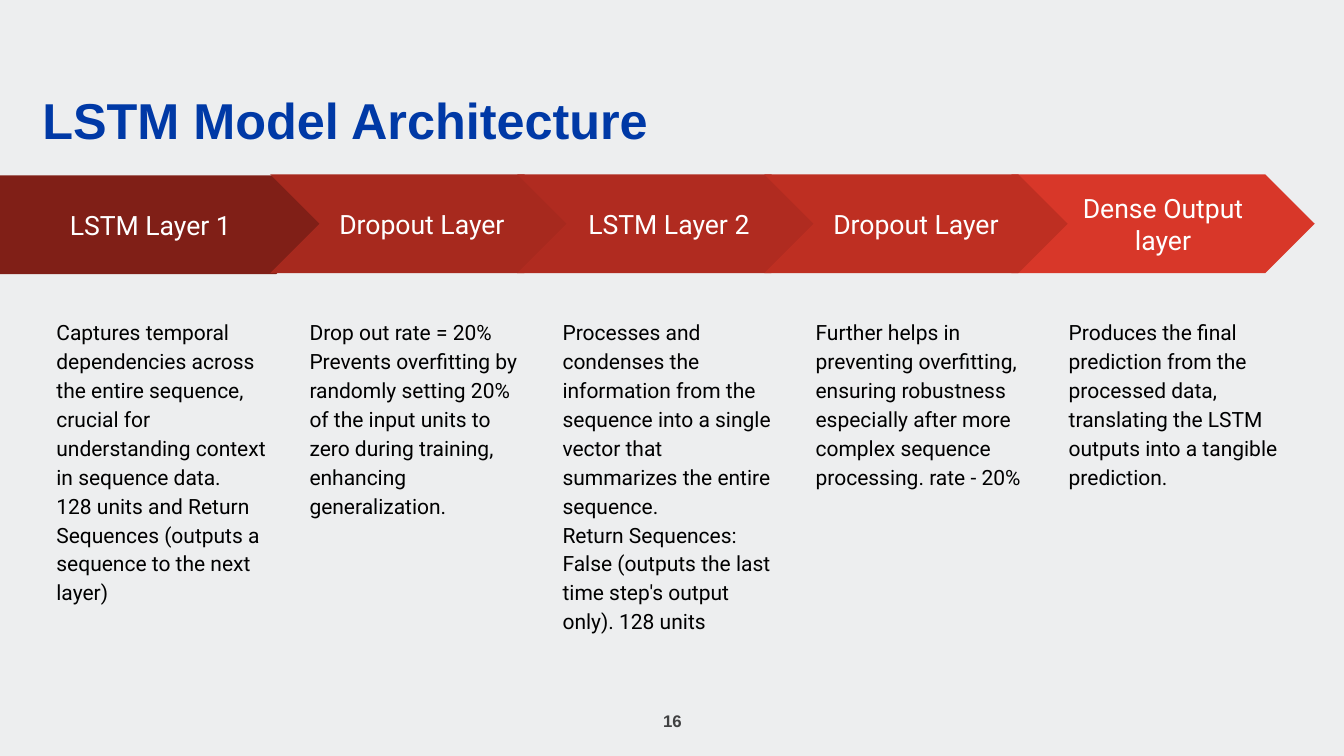
from pptx import Presentation
from pptx.dml.color import RGBColor
from pptx.enum.shapes import MSO_SHAPE
from pptx.enum.text import MSO_ANCHOR, PP_ALIGN
from pptx.util import Inches, Pt


def color(hex_value):
    return RGBColor.from_string(hex_value)


class ArchitectureSlide:
    heading_font = "Arial"
    body_font = "Roboto"
    padding = 0.13

    def __init__(self, presentation, background):
        self.slide = presentation.slides.add_slide(presentation.slide_layouts[5])
        fill = self.slide.background.fill
        fill.solid()
        fill.fore_color.rgb = color(background)

    def set_text(self, shape, lines, font, size, hex_value, bold=False, align=PP_ALIGN.LEFT,
                 anchor=MSO_ANCHOR.TOP, spacing=1.0, margins=(padding, padding)):
        frame = shape.text_frame
        frame.text = "\n".join(lines)
        frame.word_wrap = True
        frame.vertical_anchor = anchor
        frame.margin_left = frame.margin_right = Inches(margins[0])
        frame.margin_top = frame.margin_bottom = Inches(margins[1])
        for paragraph in frame.paragraphs:
            paragraph.alignment = align
            paragraph.line_spacing = spacing
            paragraph.space_before = Pt(0)
            for run in paragraph.runs:
                run.font.name = font
                run.font.size = Pt(size)
                run.font.bold = bold
                run.font.color.rgb = color(hex_value)

    def title(self, text, left, top, width, height):
        shape = self.slide.shapes.title
        shape.left, shape.top = Inches(left), Inches(top)
        shape.width, shape.height = Inches(width), Inches(height)
        self.set_text(shape, [text], self.heading_font, 36, "0039A6", bold=True,
                      anchor=MSO_ANCHOR.BOTTOM, spacing=0.9, margins=(0, 0))

    def text_box(self, left, top, width, height):
        return self.slide.shapes.add_textbox(
            Inches(left), Inches(top), Inches(width), Inches(height))

    def page_number(self, number, left, top, width, height):
        self.set_text(self.text_box(left, top, width, height), [number], self.heading_font, 12,
                      "404041", bold=True, align=PP_ALIGN.CENTER,
                      anchor=MSO_ANCHOR.MIDDLE, margins=(0.1, 0.05))

    def arrow(self, kind, label, fill, left, top, width, height):
        shape = self.slide.shapes.add_shape(
            kind, Inches(left), Inches(top), Inches(width), Inches(height))
        shape.adjustments[0] = 0.5
        shape.shadow.inherit = False
        shape.fill.solid()
        shape.fill.fore_color.rgb = color(fill)
        shape.line.fill.background()
        self.set_text(shape, [label], self.body_font, 19, "FFFFFF",
                      align=PP_ALIGN.CENTER, anchor=MSO_ANCHOR.MIDDLE)

    def description(self, lines, left, top, width, height):
        self.set_text(self.text_box(left, top, width, height), lines, self.body_font, 15,
                      "000000", spacing=1.15)


# Layers: label, fill, description paragraphs
LAYERS = [
    ("LSTM Layer 1", "801F17", [
        "Captures temporal dependencies across the entire sequence, crucial for "
        "understanding context in sequence data.",
        "128 units and Return Sequences (outputs a sequence to the next layer)"]),
    ("Dropout Layer", "A7291E", [
        "Drop out rate = 20%",
        "Prevents overfitting by randomly setting 20% of the input units to zero "
        "during training, enhancing generalization."]),
    ("LSTM Layer 2", "B02B20", [
        "Processes and condenses the information from the sequence into a single "
        "vector that summarizes the entire sequence.",
        "Return Sequences: False (outputs the last time step's output only). 128 units"]),
    ("Dropout Layer", "BE2F22", [
        "Further helps in preventing overfitting, ensuring robustness especially "
        "after more complex sequence processing. rate - 20%"]),
    ("Dense Output layer", "D83729", [
        "Produces the final prediction from the processed data, translating the "
        "LSTM outputs into a tangible prediction."]),
]
# The last dropout arrow overlaps the output arrow, so it is drawn last
DRAWING_ORDER = [0, 1, 2, 4, 3]
FIRST_CHEVRON, CHEVRON_STEP = 2.68, 2.45
FIRST_COLUMN, COLUMN_STEP = 0.43, 2.51


def main():
    presentation = Presentation()
    presentation.slide_width = Inches(13.33)
    presentation.slide_height = Inches(7.5)
    page = ArchitectureSlide(presentation, "EDEEEF")

    # Title and page number
    page.title("LSTM Model Architecture", 0.42, 0.94, 12.5, 0.55)
    page.page_number("16", 5.17, 6.95, 3, 0.4)

    # Arrow and description of each layer
    for index in DRAWING_ORDER:
        label, fill, lines = LAYERS[index]
        if index == 0:
            page.arrow(MSO_SHAPE.PENTAGON, label, fill, 0, 1.74, 3.23, 0.98)
        else:
            left = FIRST_CHEVRON + (index - 1) * CHEVRON_STEP
            page.arrow(MSO_SHAPE.CHEVRON, label, fill, left, 1.73, 3.01, 0.98)
        page.description(lines, FIRST_COLUMN + index * COLUMN_STEP, 3, 2.37, 3.43)

    presentation.save("out.pptx")


if __name__ == "__main__":
    main()
